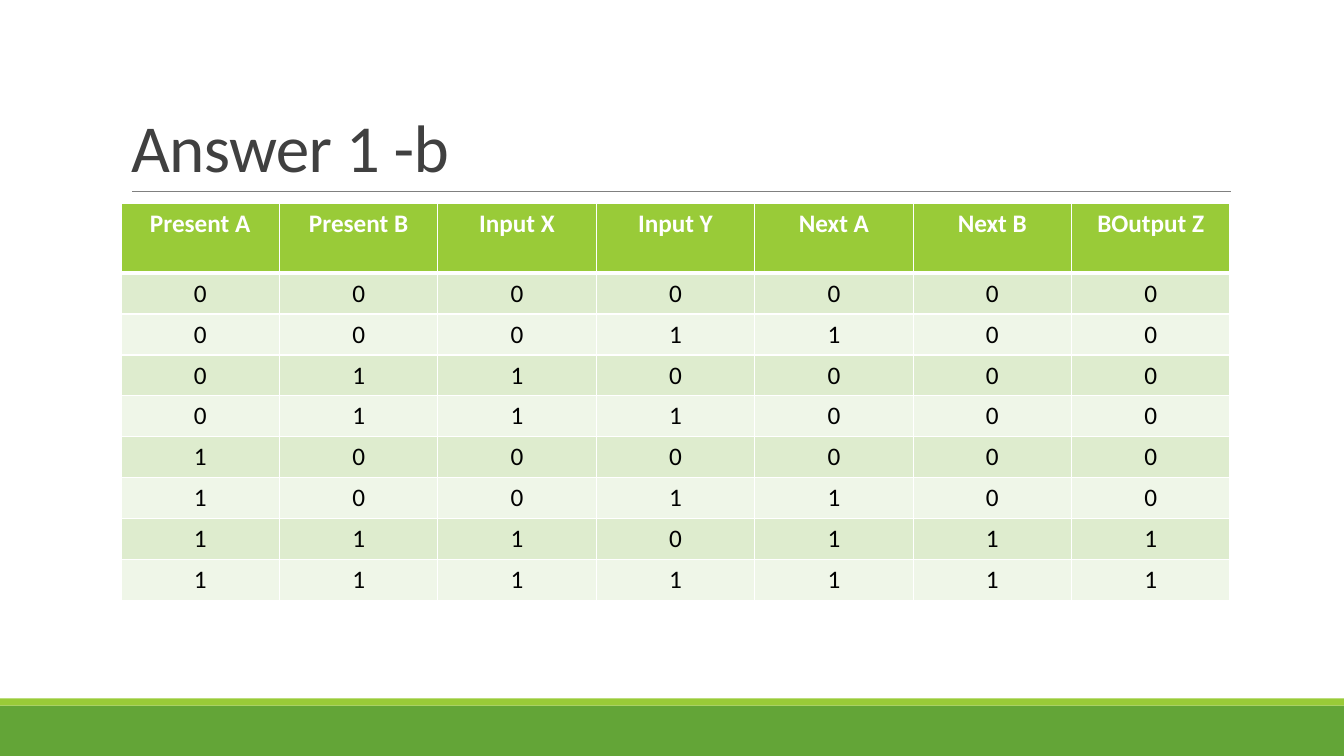
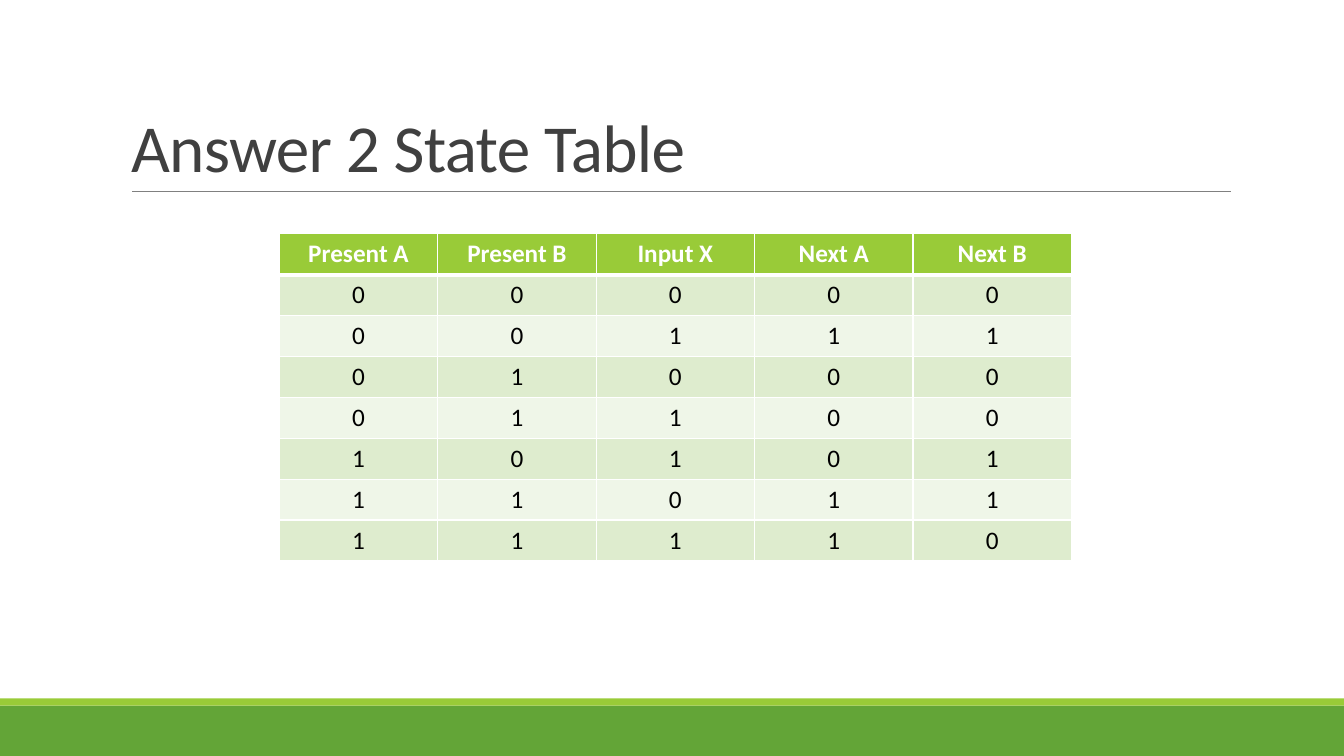
from dataclasses import dataclass

from lxml.etree import SubElement
from pptx import Presentation
from pptx.dml.color import RGBColor
from pptx.enum.shapes import MSO_CONNECTOR, MSO_SHAPE
from pptx.enum.text import MSO_ANCHOR, MSO_AUTO_SIZE, PP_ALIGN
from pptx.oxml.ns import qn
from pptx.presentation import Presentation as PresentationType
from pptx.slide import Slide
from pptx.table import _Cell
from pptx.text.text import TextFrame
from pptx.util import Inches, Pt

WHITE = RGBColor(0xFF, 0xFF, 0xFF)
BLACK = RGBColor(0x00, 0x00, 0x00)
TITLE_GRAY = RGBColor(0x40, 0x40, 0x40)
RULE_GRAY = RGBColor(0x80, 0x80, 0x80)
GREEN = RGBColor(0x63, 0xA5, 0x37)
LIME = RGBColor(0x99, 0xCB, 0x38)
ROW_FILLS = (RGBColor(0xDE, 0xEC, 0xCE), RGBColor(0xEF, 0xF6, 0xE8))

FONT = "Calibri"
SLIDE_WIDTH = Inches(13.33)
SLIDE_HEIGHT = Inches(7.5)
COLUMN_WIDTH = Inches(11 / 7)
THIN_BORDER = Pt(1)
HEADER_BORDER = Pt(3)


@dataclass(frozen=True)
class Band:
    top: float
    height: float
    color: RGBColor


@dataclass(frozen=True)
class StateTable:
    title: str
    left: float
    top: float
    height: float
    header_height: float
    headers: tuple[str, ...]
    rows: tuple[str, ...]


BANDS = (Band(7, 0.5, GREEN), Band(6.93, 0.07, LIME))

STATE_TABLES = (
    StateTable(
        "Answer 1 -b", 1.2, 2.02, 3.94, 0.69,
        ("Present A", "Present B", "Input X", "Input Y", "Next A", "Next B", "BOutput Z"),
        ("0000000", "0001100", "0110000", "0111000",
         "1000000", "1001100", "1110111", "1111111"),
    ),
    StateTable(
        "Answer 2 State Table", 2.77, 2.32, 3.24, 0.4,
        ("Present A", "Present B", "Input X", "Next A", "Next B"),
        ("00000", "00111", "01000", "01100", "10101", "11011", "11110"),
    ),
)


def write_text(
    frame: TextFrame,
    text: str,
    *,
    size: float,
    color: RGBColor,
    bold: bool = False,
    align: PP_ALIGN = PP_ALIGN.LEFT,
    line_spacing: float = 1.0,
    character_spacing: float = 0,
) -> None:
    paragraph = frame.paragraphs[0]
    paragraph.alignment = align
    paragraph.line_spacing = line_spacing
    run = paragraph.add_run()
    run.text = text
    run.font.name = FONT
    run.font.size = Pt(size)
    run.font.bold = bold
    run.font.color.rgb = color
    if character_spacing:
        run._r.get_or_add_rPr().set("spc", str(round(character_spacing * 100)))


def add_title(slide: Slide, text: str) -> None:
    title = slide.shapes.title
    title.left, title.top = Inches(1.2), Inches(0.31)
    title.width, title.height = Inches(11), Inches(1.59)
    frame = title.text_frame
    frame.word_wrap = True
    frame.auto_size = MSO_AUTO_SIZE.NONE
    frame.vertical_anchor = MSO_ANCHOR.BOTTOM
    write_text(frame, text, size=48, color=TITLE_GRAY,
               line_spacing=0.85, character_spacing=-0.5)


def add_band(slide: Slide, band: Band) -> None:
    shape = slide.shapes.add_shape(
        MSO_SHAPE.RECTANGLE, 0, Inches(band.top), SLIDE_WIDTH, Inches(band.height))
    shape.shadow.inherit = False
    shape.fill.solid()
    shape.fill.fore_color.rgb = band.color
    shape.line.fill.background()


def add_title_rule(slide: Slide) -> None:
    rule = slide.shapes.add_connector(
        MSO_CONNECTOR.STRAIGHT, Inches(1.31), Inches(1.9), Inches(12.21), Inches(1.9))
    rule.line.color.rgb = RULE_GRAY
    rule.line.width = Pt(0.5)
    SubElement(rule._element.spPr, qn("a:effectLst"))


def set_borders(cell: _Cell, *, top: int, bottom: int) -> None:
    properties = cell._tc.get_or_add_tcPr()
    widths = {"a:lnL": THIN_BORDER, "a:lnR": THIN_BORDER, "a:lnT": top, "a:lnB": bottom}
    for tag, width in widths.items():
        border = SubElement(properties, qn(tag), w=str(int(width)))
        fill = SubElement(border, qn("a:solidFill"))
        SubElement(fill, qn("a:srgbClr"), val=str(WHITE))


def add_state_table(slide: Slide, state_table: StateTable) -> None:
    contents = (state_table.headers, *state_table.rows)
    column_count = len(state_table.headers)
    table = slide.shapes.add_table(
        len(contents), column_count, Inches(state_table.left), Inches(state_table.top),
        COLUMN_WIDTH * column_count, Inches(state_table.height)).table
    for column in table.columns:
        column.width = COLUMN_WIDTH
    body_height = state_table.height - state_table.header_height
    row_height = Inches(body_height / len(state_table.rows))
    for row_index, values in enumerate(contents):
        is_header = row_index == 0
        table.rows[row_index].height = (
            Inches(state_table.header_height) if is_header else row_height)
        for column_index, value in enumerate(values):
            cell = table.cell(row_index, column_index)
            set_borders(
                cell,
                top=HEADER_BORDER if row_index == 1 else THIN_BORDER,
                bottom=HEADER_BORDER if is_header else THIN_BORDER)
            cell.fill.solid()
            cell.fill.fore_color.rgb = LIME if is_header else ROW_FILLS[(row_index - 1) % 2]
            write_text(cell.text_frame, value, size=18, bold=is_header,
                       color=WHITE if is_header else BLACK, align=PP_ALIGN.CENTER)


def add_state_slide(presentation: PresentationType, state_table: StateTable) -> None:
    layout = presentation.slide_layouts.get_by_name("Title Only")
    slide = presentation.slides.add_slide(layout)
    for band in BANDS:
        add_band(slide, band)
    add_title_rule(slide)
    add_title(slide, state_table.title)
    add_state_table(slide, state_table)


def main() -> None:
    presentation = Presentation()
    presentation.slide_width = SLIDE_WIDTH
    presentation.slide_height = SLIDE_HEIGHT
    for state_table in STATE_TABLES:
        add_state_slide(presentation, state_table)
    presentation.save("out.pptx")


main()
